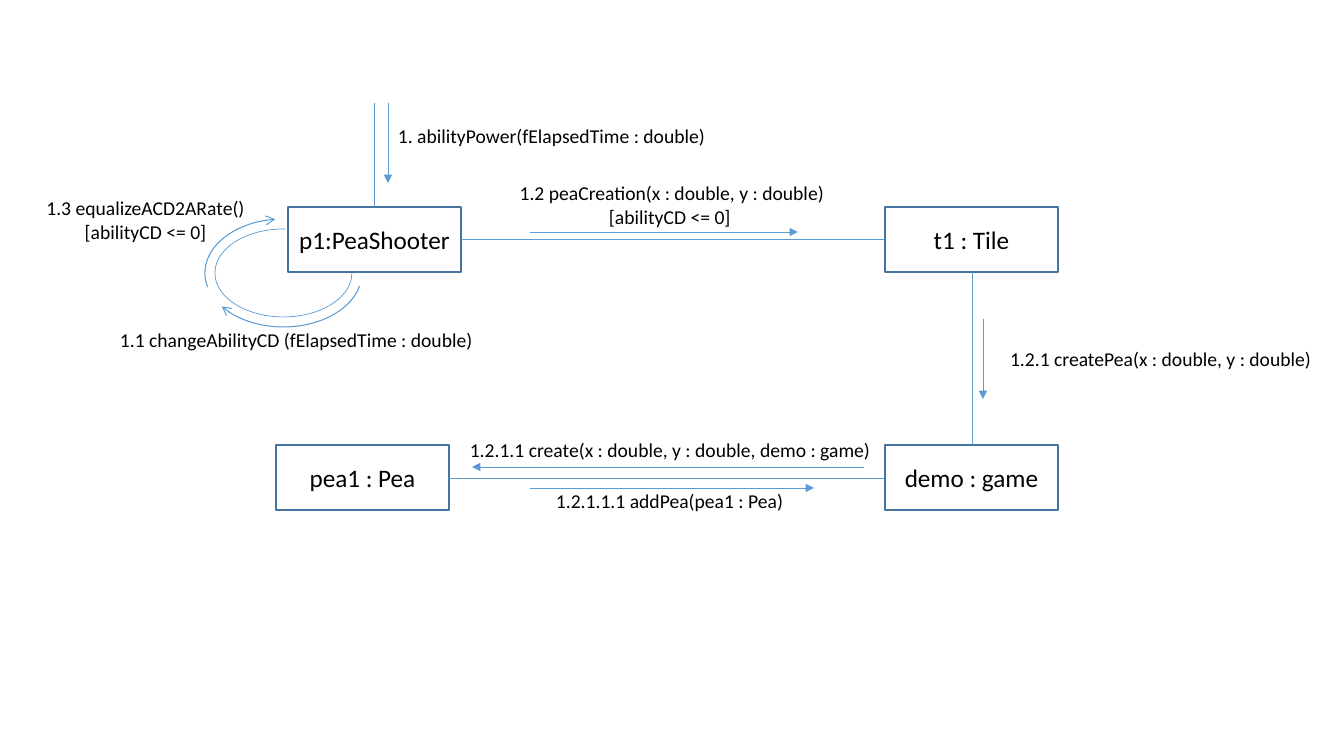
"""Build a communication diagram of a pea-shooting ability."""
from dataclasses import dataclass

from lxml import etree
from pptx import Presentation
from pptx.dml.color import RGBColor
from pptx.enum.shapes import MSO_CONNECTOR, MSO_SHAPE
from pptx.enum.text import MSO_ANCHOR, MSO_AUTO_SIZE, PP_ALIGN
from pptx.oxml.ns import qn
from pptx.slide import Slide
from pptx.text.text import TextFrame
from pptx.util import Emu, Pt

SLIDE_W, SLIDE_H = 1344, 756
SCALE = 12192000 / SLIDE_W
FONT = "Calibri"
BLACK = RGBColor(0x00, 0x00, 0x00)
BORDER = RGBColor(0x43, 0x73, 0x9E)
BLUE = RGBColor(0x5B, 0x9B, 0xD5)
BOX_W, BOX_H = 173, 65
ADJUSTMENT_PER_DEGREE = 0.6


@dataclass(frozen=True)
class Participant:
    name: str
    left: int
    top: int


@dataclass(frozen=True)
class Message:
    lines: tuple[str, ...]
    left: int
    top: int
    width: int
    height: int = 34
    align: PP_ALIGN = PP_ALIGN.CENTER


@dataclass(frozen=True)
class Line:
    x1: int
    y1: int
    x2: int
    y2: int
    head: str = ""


@dataclass(frozen=True)
class Arc:
    left: int
    top: int
    width: int
    height: int
    start: float
    end: float
    weight: float
    head: str = ""


PARTICIPANTS = (
    Participant("p1:PeaShooter", 288, 207),
    Participant("t1 : Tile", 885, 207),
    Participant("demo : game", 885, 445),
    Participant("pea1 : Pea", 276, 445),
)
LINKS = (
    Line(374, 103, 374, 207),
    Line(885, 239, 461, 239),
    Line(972, 445, 972, 272),
    Line(885, 478, 449, 478),
)
ARROWS = (
    Line(388, 103, 388, 183, "triangle"),
    Line(530, 232, 798, 232, "triangle"),
    Line(530, 488, 814, 488, "triangle"),
    Line(864, 467, 472, 467, "triangle"),
    Line(983, 319, 983, 399, "triangle"),
)
SELF_CALLS = (
    Arc(215, 229, 137, 88, 0.24, 272.99, 0.5),
    Arc(205, 219, 157, 108, 169.61, 261.36, 0.75, "arrow"),
    Arc(205, 219, 157, 108, 9.59, 151.55, 0.75, "arrow"),
)
MESSAGES = (
    Message(("1. abilityPower(fElapsedTime : double)",), 388, 119, 341, align=PP_ALIGN.LEFT),
    Message(("1.1 changeAbilityCD (fElapsedTime : double)",), 110, 323, 387, align=PP_ALIGN.LEFT),
    Message(("1.2 peaCreation(x : double, y : double)", "[abilityCD <= 0] "), 508, 176, 328, 57),
    Message(("1.3 equalizeACD2ARate()", "[abilityCD <= 0]"), 35, 191, 221, 57),
    Message(("1.2.1 createPea(x : double, y : double) ",), 999, 342, 328),
    Message(("1.2.1.1 create(x : double, y : double, demo : game) ",), 456, 433, 433),
    Message(("1.2.1.1.1 addPea(pea1 : Pea) ",), 545, 484, 254),
)


def px(value: float) -> Emu:
    """Convert pixels to EMU."""
    return Emu(round(value * SCALE))


def write(frame: TextFrame, lines: tuple[str, ...], size: int, align: PP_ALIGN) -> None:
    """Write one paragraph per line."""
    for index, line in enumerate(lines):
        paragraph = frame.add_paragraph() if index else frame.paragraphs[0]
        paragraph.alignment = align
        run = paragraph.add_run()
        run.text = line
        run.font.size = Pt(size)
        run.font.name = FONT
        run.font.color.rgb = BLACK


def add_stroke(shape, color: RGBColor, weight: float, head: str = "") -> None:
    """Set the outline and its optional arrowhead."""
    shape.line.color.rgb = color
    shape.line.width = Pt(weight)
    if head:
        outline = shape.element.spPr.find(qn("a:ln"))
        etree.SubElement(outline, qn("a:tailEnd"), type=head)


def draw_participant(slide: Slide, item: Participant) -> None:
    """Draw a named object box."""
    box = slide.shapes.add_shape(
        MSO_SHAPE.RECTANGLE, px(item.left), px(item.top), px(BOX_W), px(BOX_H))
    box.shadow.inherit = False
    box.fill.background()
    add_stroke(box, BORDER, 1)
    box.text_frame.vertical_anchor = MSO_ANCHOR.MIDDLE
    write(box.text_frame, (item.name,), 18, PP_ALIGN.CENTER)


def draw_line(slide: Slide, item: Line) -> None:
    """Draw a link or a message arrow."""
    line = slide.shapes.add_connector(
        MSO_CONNECTOR.STRAIGHT, px(item.x1), px(item.y1), px(item.x2), px(item.y2))
    add_stroke(line, BLUE, 0.5, item.head)
    etree.SubElement(line.element.spPr, qn("a:effectLst"))


def draw_arc(slide: Slide, item: Arc) -> None:
    """Draw a curve running clockwise between two angles."""
    arc = slide.shapes.add_shape(
        MSO_SHAPE.ARC, px(item.left), px(item.top), px(item.width), px(item.height))
    arc.adjustments[0] = item.start * ADJUSTMENT_PER_DEGREE
    arc.adjustments[1] = item.end * ADJUSTMENT_PER_DEGREE
    arc.shadow.inherit = False
    arc.fill.background()
    add_stroke(arc, BLUE, item.weight, item.head)


def draw_message(slide: Slide, item: Message) -> None:
    """Draw a message label."""
    box = slide.shapes.add_textbox(
        px(item.left), px(item.top), px(item.width), px(item.height))
    box.text_frame.word_wrap = False
    box.text_frame.auto_size = MSO_AUTO_SIZE.SHAPE_TO_FIT_TEXT
    write(box.text_frame, item.lines, 14, item.align)


def main() -> None:
    """Draw the diagram and save it."""
    deck = Presentation()
    deck.slide_width, deck.slide_height = px(SLIDE_W), px(SLIDE_H)
    slide = deck.slides.add_slide(deck.slide_layouts[6])
    for draw, items in (
        (draw_participant, PARTICIPANTS),
        (draw_line, LINKS + ARROWS),
        (draw_arc, SELF_CALLS),
        (draw_message, MESSAGES),
    ):
        for item in items:
            draw(slide, item)
    deck.save("out.pptx")


main()
